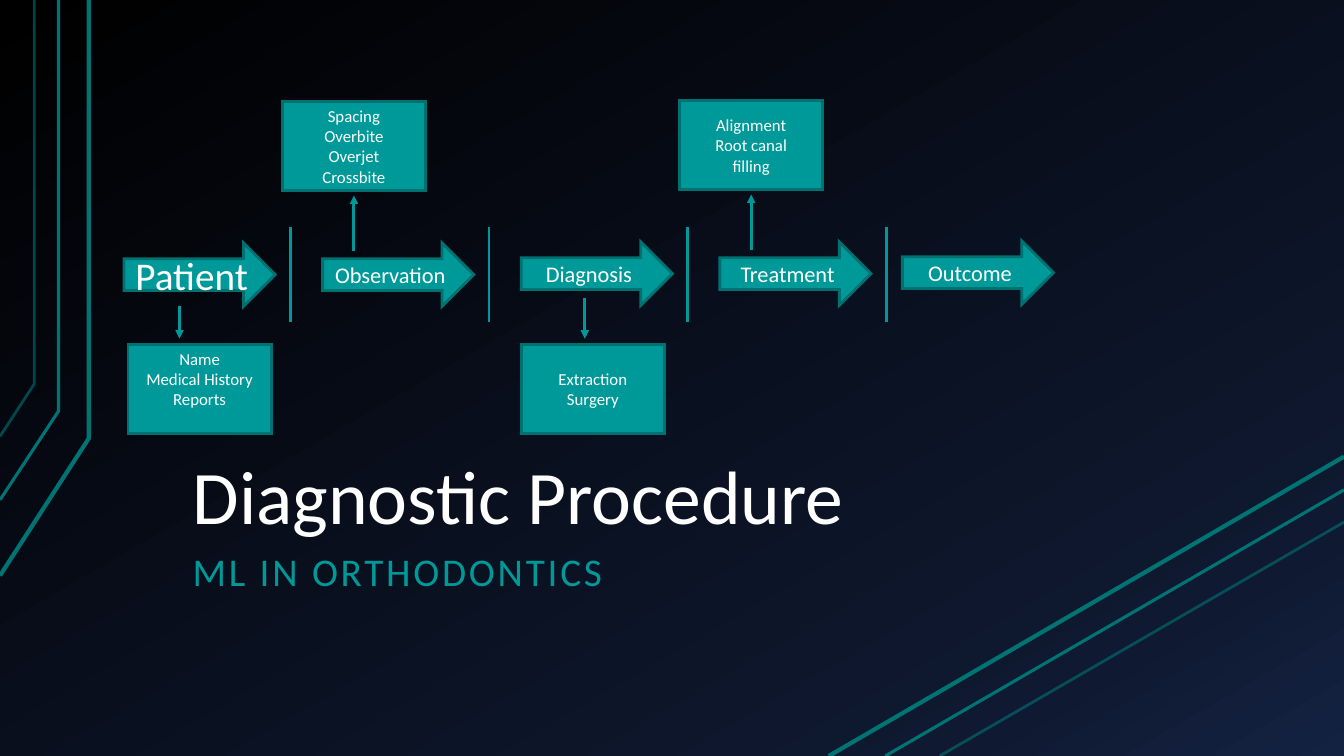
from copy import deepcopy
from dataclasses import dataclass

from lxml.etree import SubElement
from pptx import Presentation
from pptx.dml.color import RGBColor
from pptx.enum.shapes import MSO_CONNECTOR, MSO_SHAPE
from pptx.enum.text import MSO_ANCHOR, PP_ALIGN
from pptx.oxml.ns import qn
from pptx.util import Inches, Pt

COLORS = {
    "black": "000000",
    "navy": "0F1931",
    "blue": "142242",
    "teal": "009999",
    "outline": "007171",
    "stripe": "007373",
    "white": "FFFFFF",
}
FONT = "Calibri"
STRIPE_STYLES = [(3, 100), (2.25, 100), (2, 60)]


@dataclass
class Box:
    lines: list[str]
    left: float
    top: float
    width: float = 1.42
    height: float = 0.88
    preset: int = MSO_SHAPE.RECTANGLE
    size: float = 12
    bottom_inset: float = 0.05


@dataclass
class Step(Box):
    width: float = 1.5
    height: float = 0.63
    preset: int = MSO_SHAPE.RIGHT_ARROW
    size: float = 16


@dataclass
class Segment:
    start: tuple[float, float]
    end: tuple[float, float]
    arrow: bool = False
    color: str = "teal"
    width: float = 2
    opacity: int = 100


@dataclass
class Heading:
    text: str
    top: float
    width: float
    height: float
    size: float
    color: str
    anchor: MSO_ANCHOR
    spacing: int = 0


def rgb(name: str) -> RGBColor:
    return RGBColor.from_string(COLORS[name])


def paint_background(slide) -> None:
    fill = slide.background.fill
    fill.gradient()
    fill.gradient_angle = 300
    stop_list = slide.element.find(".//" + qn("a:gsLst"))
    stop_list.append(deepcopy(stop_list[-1]))
    stops = [("black", 0), ("navy", 0.85), ("blue", 1)]
    for stop, (color, position) in zip(fill.gradient_stops, stops):
        stop.color.rgb = rgb(color)
        stop.position = position


def style_line(shape, color: str, width: float, opacity: int = 100) -> None:
    shape.line.color.rgb = rgb(color)
    shape.line.width = Pt(width)
    line_element = shape._element.spPr.find(qn("a:ln"))
    if opacity < 100:
        color_element = line_element.find(".//" + qn("a:srgbClr"))
        SubElement(color_element, qn("a:alpha"), val=str(opacity * 1000))
    SubElement(line_element, qn("a:miter"), lim="800000")


def style_text(paragraph, size: float, color: str, spacing: int = 0) -> None:
    for run in paragraph.runs:
        run.font.name = FONT
        run.font.size = Pt(size)
        run.font.color.rgb = rgb(color)
        if spacing:
            run.font._element.set("spc", str(spacing * 100))


def add_segment(slide, segment: Segment) -> None:
    points = [Inches(value) for value in segment.start + segment.end]
    connector = slide.shapes.add_connector(MSO_CONNECTOR.STRAIGHT, *points)
    style_line(connector, segment.color, segment.width, segment.opacity)
    properties = connector._element.spPr
    if segment.arrow:
        SubElement(properties.find(qn("a:ln")), qn("a:tailEnd"), type="triangle")
    SubElement(properties, qn("a:effectLst"))


def add_bent_stripe(slide, points: list, width: float, opacity: int) -> None:
    first, *others = [(Inches(x), Inches(y)) for x, y in points]
    builder = slide.shapes.build_freeform(*first)
    builder.add_line_segments(others, close=False)
    shape = builder.convert_to_shape()
    shape.shadow.inherit = False
    shape.fill.background()
    style_line(shape, "stripe", width, opacity)


def add_box(slide, box: Box) -> None:
    bounds = [Inches(value) for value in (box.left, box.top, box.width, box.height)]
    shape = slide.shapes.add_shape(box.preset, *bounds)
    shape.shadow.inherit = False
    shape.fill.solid()
    shape.fill.fore_color.rgb = rgb("teal")
    style_line(shape, "outline", 2)
    text_frame = shape.text_frame
    text_frame.word_wrap = True
    text_frame.vertical_anchor = MSO_ANCHOR.MIDDLE
    text_frame.margin_bottom = Inches(box.bottom_inset)
    text_frame.text = "\n".join(box.lines)
    for paragraph in text_frame.paragraphs:
        paragraph.alignment = PP_ALIGN.CENTER
        style_text(paragraph, box.size, "white")


def add_heading(slide, heading: Heading) -> None:
    bounds = [Inches(value) for value in (1.78, heading.top, heading.width, heading.height)]
    text_frame = slide.shapes.add_textbox(*bounds).text_frame
    text_frame.word_wrap = True
    text_frame.vertical_anchor = heading.anchor
    text_frame.margin_left = text_frame.margin_right = Inches(0.13)
    text_frame.margin_top = text_frame.margin_bottom = Inches(0.07)
    text_frame.text = heading.text
    paragraph = text_frame.paragraphs[0]
    paragraph.line_spacing = 0.9
    style_text(paragraph, heading.size, heading.color, heading.spacing)


BENT_STRIPES = [
    [(0, 5.71), (0.88, 4.35), (0.88, 0)],
    [(0, 4.96), (0.58, 4.08), (0.58, 0)],
    [(0, 4.33), (0.34, 3.81), (0.34, 0)],
]
DIAGONAL_STRIPES = [
    ((8.22, 7.5), (13.33, 4.53)),
    ((8.78, 7.5), (13.33, 4.86)),
    ((9.32, 7.5), (13.33, 5.18)),
]
HEADINGS = [
    Heading("Diagnostic Procedure", 4.38, 9.78, 1.06, 54, "white", MSO_ANCHOR.BOTTOM),
    Heading("ML IN ORTHODONTICS", 5.41, 7.73, 0.88, 28, "teal", MSO_ANCHOR.TOP, 2),
]
STEPS = [
    Step(["Patient"], 1.23, 2.41, size=28),
    Step(["Observation"], 3.2, 2.41),
    Step(["Diagnosis"], 5.17, 2.4),
    Step(["Treatment"], 7.14, 2.4),
    Step(["Outcome"], 8.95, 2.39),
]
DETAILS = [
    Box(["Name", "Medical History", "Reports"], 1.27, 3.42, bottom_inset=0.25),
    Box(["Spacing", "Overbite", "Overjet", "Crossbite"], 2.8, 1.01),
    Box(["Extraction", "Surgery"], 5.17, 3.42),
    Box(["Alignment", "Root canal", "filling"], 6.74, 1),
]
DIVIDERS = [Segment((2.88 + 1.97 * i, 2.25), (2.88 + 1.97 * i, 3.19)) for i in range(4)]
POINTERS = [
    Segment((x, start), (x, end), arrow=True)
    for x, start, end in [
        (1.78, 3.04, 3.36),
        (3.51, 2.49, 1.94),
        (5.8, 2.96, 3.36),
        (7.45, 2.48, 1.93),
    ]
]


def main() -> None:
    presentation = Presentation()
    presentation.slide_width = Inches(13.33)
    presentation.slide_height = Inches(7.5)
    slide = presentation.slides.add_slide(presentation.slide_layouts[6])
    paint_background(slide)
    for points, (width, opacity) in zip(BENT_STRIPES, STRIPE_STYLES):
        add_bent_stripe(slide, points, width, opacity)
    for (start, end), (width, opacity) in zip(DIAGONAL_STRIPES, STRIPE_STYLES):
        add_segment(slide, Segment(start, end, False, "stripe", width, opacity))
    for heading in HEADINGS:
        add_heading(slide, heading)
    for segment in DIVIDERS + POINTERS:
        add_segment(slide, segment)
    for box in STEPS + DETAILS:
        add_box(slide, box)
    presentation.save("out.pptx")


if __name__ == "__main__":
    main()
